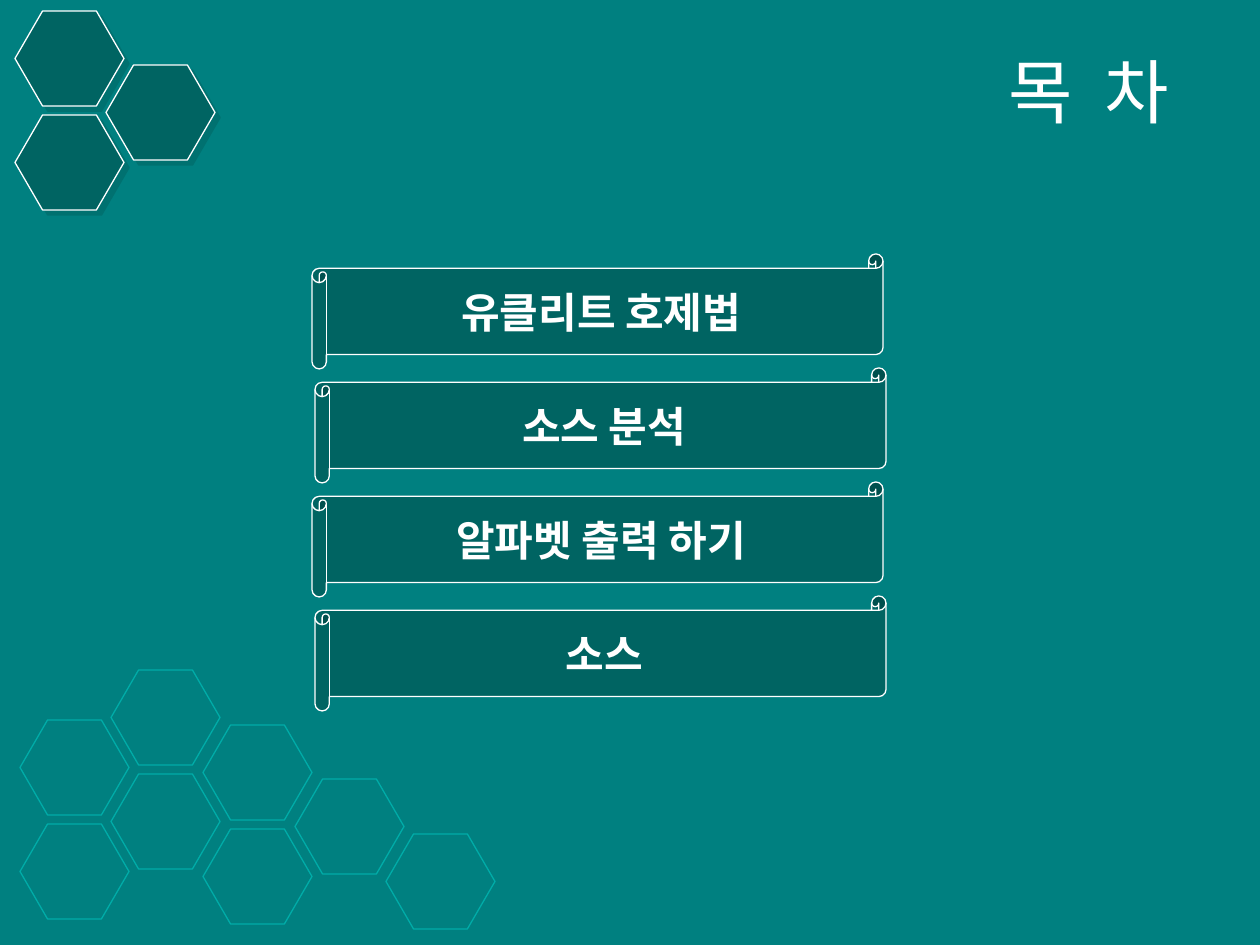
from lxml import etree
from pptx import Presentation
from pptx.dml.color import RGBColor
from pptx.enum.shapes import MSO_SHAPE
from pptx.enum.text import MSO_ANCHOR, PP_ALIGN
from pptx.oxml.ns import qn
from pptx.util import Emu, Pt

HEXAGON = MSO_SHAPE.HEXAGON
SCROLL = MSO_SHAPE.HORIZONTAL_SCROLL
MIDDLE = MSO_ANCHOR.MIDDLE
CENTER, RIGHT = PP_ALIGN.CENTER, PP_ALIGN.RIGHT

TEAL = RGBColor(0x00, 0x80, 0x80)
DARK_TEAL = RGBColor(0x00, 0x64, 0x62)
LIGHT_TEAL = RGBColor(0x00, 0xAC, 0xA8)
WHITE = RGBColor(0xFF, 0xFF, 0xFF)

LATIN_FONT = "Arial"
KOREAN_FONT = "Noto Sans CJK KR"
PX_PER_INCH = 126


def px(length):
    return Emu(round(length * 914400 / PX_PER_INCH))


class ContentsSlide:
    """Holds the current slide and draws its elements in one style."""

    def __init__(self, presentation):
        self.slide = presentation.slides.add_slide(presentation.slide_layouts[5])
        background = self.slide.background.fill
        background.solid()
        background.fore_color.rgb = TEAL

    def set_text(self, shape, text, size, latin, align, bold):
        frame = shape.text_frame
        frame.word_wrap = True
        frame.vertical_anchor = MIDDLE
        paragraph = frame.paragraphs[0]
        paragraph.text = text
        paragraph.alignment = align
        font = paragraph.font
        font.size, font.bold, font.name = Pt(size), bold, latin
        font.color.rgb = WHITE
        properties = paragraph._p.pPr.find(qn("a:defRPr"))
        etree.SubElement(properties, qn("a:ea"), typeface=KOREAN_FONT)

    def title(self, text, left, top, width, height):
        shape = self.slide.shapes.title
        shape.left, shape.top = px(left), px(top)
        shape.width, shape.height = px(width), px(height)
        self.set_text(shape, text, 40, LATIN_FONT, RIGHT, False)

    def preset(self, kind, left, top, width, height, line, fill=None):
        shape = self.slide.shapes.add_shape(
            kind, px(left), px(top), px(width), px(height))
        shape.shadow.inherit = False
        if fill is None:
            shape.fill.background()
        else:
            shape.fill.solid()
            shape.fill.fore_color.rgb = fill
        shape.line.color.rgb = line
        shape.line.width = Pt(0.75)
        return shape

    def drop_shadow(self, shape):
        effects = shape._element.spPr.find(qn("a:effectLst"))
        shadow = etree.SubElement(
            effects, qn("a:outerShdw"), blurRad="0", dist=str(int(Pt(4.2))),
            dir="2700000", algn="ctr", rotWithShape="0")
        color = etree.SubElement(shadow, qn("a:srgbClr"), val=str(DARK_TEAL))
        etree.SubElement(color, qn("a:alpha"), val="50000")

    def honeycomb(self, left, top, cells, line, fill=None):
        """Each column steps right and half a cell down."""
        for column, row in cells:
            shape = self.preset(
                HEXAGON, left + column * 275 // 3,
                top + column * 109 // 2 + row * 104, 109, 95, line, fill)
            shape.adjustments[0] = 0.29
            if fill is not None:
                self.drop_shadow(shape)

    def scroll(self, text, left, top):
        shape = self.preset(SCROLL, left, top, 571, 115, WHITE, DARK_TEAL)
        self.set_text(shape, text, 24, KOREAN_FONT, CENTER, True)


def main():
    presentation = Presentation()
    presentation.slide_width = px(1260)
    presentation.slide_height = px(945)
    contents = ContentsSlide(presentation)

    # Outlined honeycomb, bottom left
    contents.honeycomb(
        20, 720,
        [(2, 0), (2, -1), (3, -1), (4, -1), (1, 0), (1, -1), (0, 0), (0, 1)],
        LIGHT_TEAL)

    # Filled honeycomb, top left
    contents.honeycomb(15, 11, [(0, 1), (0, 0), (1, 0)], WHITE, DARK_TEAL)

    # Title
    contents.title("목  차", 233, 35, 948, 110)

    # Contents entries, every second one set slightly to the right
    entries = ["유클리트 호제법", "소스 분석", "알파벳 출력 하기", "소스"]
    for index, entry in enumerate(entries):
        contents.scroll(entry, 312 + index % 2 * 3, 254 + index * 114)

    presentation.save("out.pptx")


if __name__ == "__main__":
    main()
